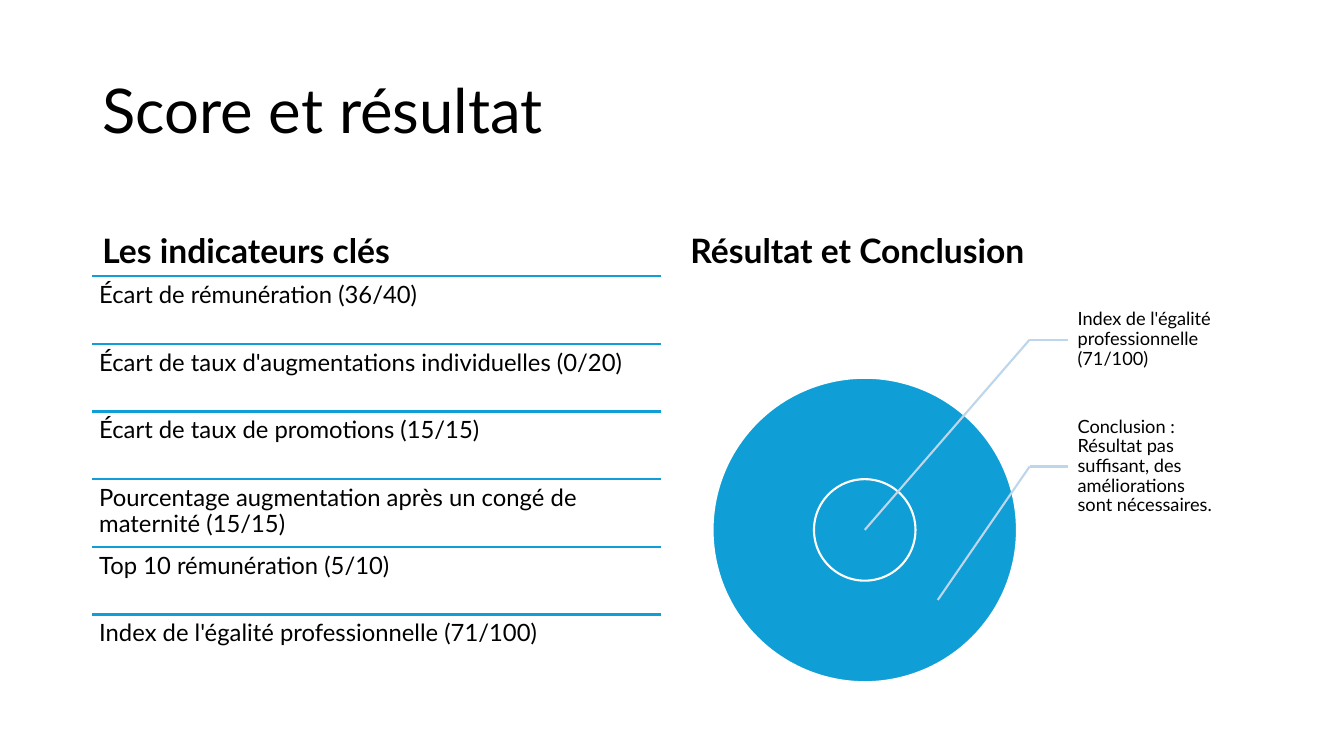
from dataclasses import dataclass

from lxml.etree import SubElement
from pptx import Presentation
from pptx.dml.color import RGBColor
from pptx.enum.shapes import MSO_CONNECTOR as Connector, MSO_SHAPE as Preset
from pptx.enum.text import MSO_ANCHOR as Anchor
from pptx.oxml.ns import qn
from pptx.util import Cm, Pt


@dataclass(frozen=True)
class Theme:
    font: str = "Lato"
    text: str = "000000"
    accent: str = "0F9ED5"
    leader: str = "BDD6EB"
    outline: str = "FFFFFF"
    title_size: int = 44
    heading_size: int = 24
    indicator_size: int = 17
    label_size: int = 13
    line_width: float = 1.5
    line_spacing: float = 0.9


@dataclass(frozen=True)
class Box:
    """A region of the slide, in centimetres."""
    left: float
    top: float
    width: float
    height: float

    def lengths(self):
        return Cm(self.left), Cm(self.top), Cm(self.width), Cm(self.height)


THEME = Theme()
BODY_INSETS = (0.25, 0.13, 0.25, 0.13)
INDICATOR_INSETS = (0.17, 0.17, 0.17, 0.17)
LABEL_INSETS = (0.25, 0.04, 0.04, 0.04)

INDICATORS = [
    "Écart de rémunération (36/40)",
    "Écart de taux d'augmentations individuelles (0/20)",
    "Écart de taux de promotions (15/15)",
    "Pourcentage augmentation après un congé de maternité (15/15)",
    "Top 10 rémunération (5/10)",
    "Index de l'égalité professionnelle (71/100)",
]
# Label, then where its leader ends, from the centre, in outer diameters
RESULTS = [
    ("Index de l'égalité professionnelle (71/100)", 0, 0),
    ("Conclusion : Résultat pas suffisant, des améliorations "
     "sont nécessaires.", 0.24, 0.23),
]


def add_text(slide, box, text, size, anchor, insets=BODY_INSETS, bold=False):
    shape = slide.shapes.add_textbox(*box.lengths())
    left, top, right, bottom = map(Cm, insets)
    frame_format = {
        "word_wrap": True, "vertical_anchor": anchor,
        "margin_left": left, "margin_top": top,
        "margin_right": right, "margin_bottom": bottom,
    }
    for name, value in frame_format.items():
        setattr(shape.text_frame, name, value)
    paragraph = shape.text_frame.paragraphs[0]
    paragraph.line_spacing = THEME.line_spacing
    run = paragraph.add_run()
    run.text = text
    font_format = {"name": THEME.font, "size": Pt(size), "bold": bold}
    for name, value in font_format.items():
        setattr(run.font, name, value)
    run.font.color.rgb = RGBColor.from_string(THEME.text)
    return shape


def style_line(line, color):
    line.color.rgb = RGBColor.from_string(color)
    line.width = Pt(THEME.line_width)


def add_line(slide, start, end, color):
    connector = slide.shapes.add_connector(
        Connector.STRAIGHT, *map(Cm, (*start, *end)))
    style_line(connector.line, color)
    SubElement(connector._element.spPr, qn("a:effectLst"))
    return connector


def add_circle(slide, center_x, center_y, diameter):
    box = Box(center_x - diameter / 2, center_y - diameter / 2,
              diameter, diameter)
    shape = slide.shapes.add_shape(Preset.OVAL, *box.lengths())
    shape.shadow.inherit = False
    shape.fill.solid()
    shape.fill.fore_color.rgb = RGBColor.from_string(THEME.accent)
    style_line(shape.line, THEME.outline)


def add_title(slide, box, text):
    add_text(slide, box, text, THEME.title_size, Anchor.MIDDLE)


def add_heading(slide, box, text):
    add_text(slide, box, text, THEME.heading_size, Anchor.BOTTOM, bold=True)


def add_indicator_list(slide, box):
    row_height = box.height / len(INDICATORS)
    for index, indicator in enumerate(INDICATORS):
        top = box.top + index * row_height
        add_line(slide, (box.left, top), (box.left + box.width, top),
                 THEME.accent)
        add_text(slide, Box(box.left, top, box.width, row_height), indicator,
                 THEME.indicator_size, Anchor.TOP, INDICATOR_INSETS)


def add_result_target(slide, box):
    # Every part is a fraction of the outer diameter
    diameter = box.height * 3 / 4
    label_width, label_height = diameter / 2, diameter * 5 / 12
    label_offset = diameter * 7 / 6
    left = box.left + (box.width - label_offset - label_width) / 2
    center_x = left + diameter / 2
    center_y = box.top + box.height - diameter / 2

    # Rings
    for ring_diameter in (diameter, diameter / 3):
        add_circle(slide, center_x, center_y, ring_diameter)

    # Labels with their bent leaders
    label_left = left + label_offset
    bend_x = label_left - diameter / 8
    for index, (text, shift_x, shift_y) in enumerate(RESULTS):
        top = box.top + index * label_height
        middle = top + label_height / 2
        label = add_text(slide,
                         Box(label_left, top, label_width, label_height),
                         text, THEME.label_size, Anchor.MIDDLE, LABEL_INSETS)
        stub = add_line(slide, (bend_x, middle), (label_left, middle),
                        THEME.leader)
        stub.end_connect(label, 1)
        add_line(slide, (bend_x, middle),
                 (center_x + shift_x * diameter,
                  center_y + shift_y * diameter), THEME.leader)


def main():
    presentation = Presentation()
    presentation.slide_width = Cm(33.87)
    presentation.slide_height = Cm(19.05)
    slide = presentation.slides.add_slide(presentation.slide_layouts[6])

    add_title(slide, Box(2.33, 1.02, 29.21, 3.68), "Score et résultat")

    # Left column
    add_heading(slide, Box(2.33, 4.67, 14.33, 2.29), "Les indicateurs clés")
    add_indicator_list(slide, Box(2.33, 6.96, 14.33, 10.23))

    # Right column
    add_heading(slide, Box(17.15, 4.67, 14.4, 2.29), "Résultat et Conclusion")
    add_result_target(slide, Box(17.15, 6.96, 14.4, 10.23))

    presentation.save("out.pptx")


if __name__ == "__main__":
    main()
